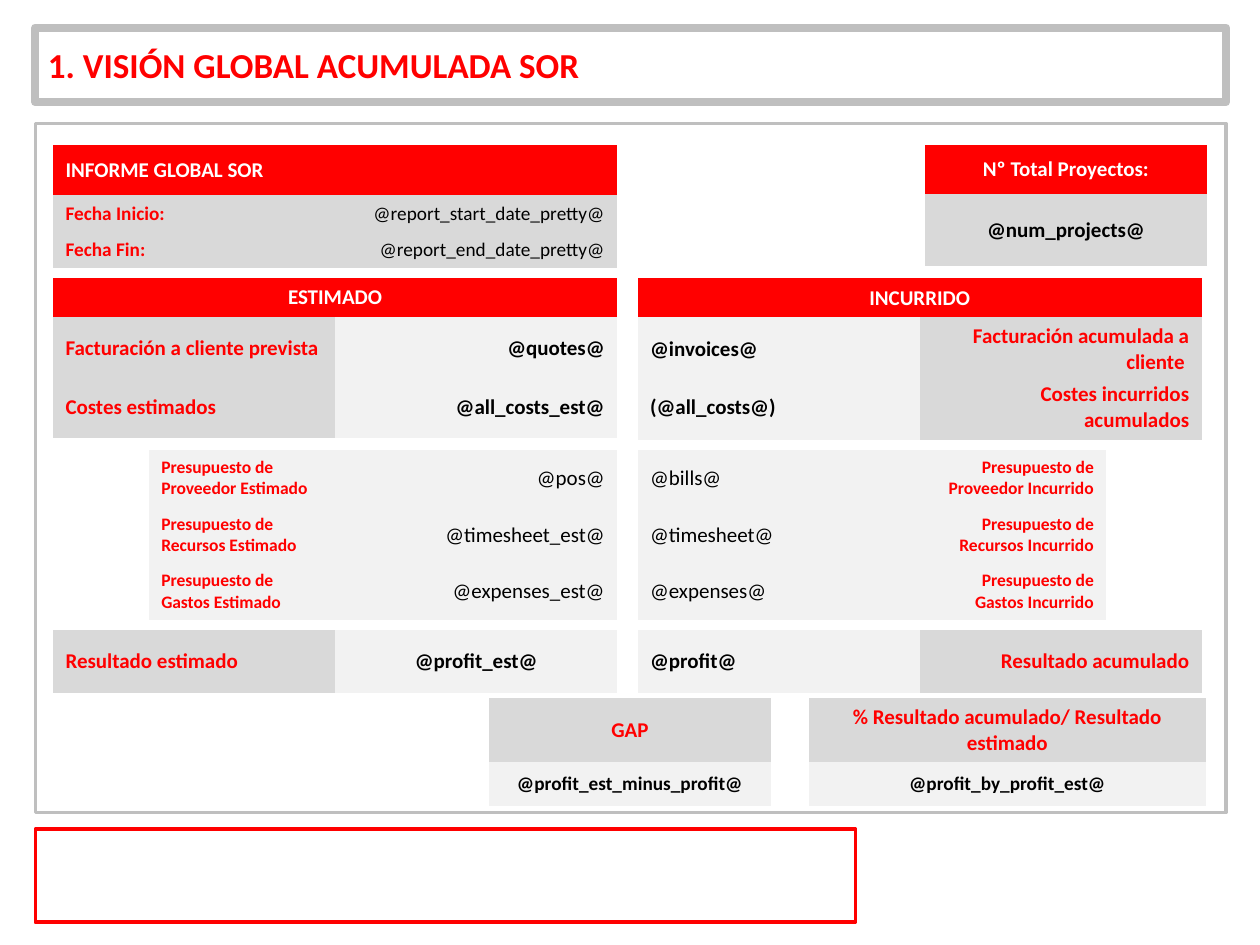
from dataclasses import dataclass, replace
from typing import Optional

from pptx import Presentation
from pptx.dml.color import RGBColor
from pptx.enum.shapes import MSO_SHAPE
from pptx.enum.text import MSO_ANCHOR, MSO_AUTO_SIZE, PP_ALIGN
from pptx.util import Inches, Pt

RED = RGBColor(0xFF, 0x00, 0x00)
WHITE = RGBColor(0xFF, 0xFF, 0xFF)
BLACK = RGBColor(0x00, 0x00, 0x00)
EDGE = RGBColor(0xBF, 0xBF, 0xBF)
GREY = RGBColor(0xD9, 0xD9, 0xD9)
PALE = RGBColor(0xF2, 0xF2, 0xF2)
FONT = "Calibri"
PLAIN = "{2D5ABB26-0587-4C30-8999-92F81FD0307C}"

LEFT, RIGHT = 0.42, 5.06
COL, SUB = 2.24, 1.48
PAIR = (COL, COL)
TOP, HEAD, COST, PARTS, NET, GAP = 1.15, 2.21, 2.98, 3.57, 5.0, 5.54
FRAME, WIDE = 0.28, 9.45

START, MID, END = PP_ALIGN.LEFT, PP_ALIGN.CENTER, PP_ALIGN.RIGHT


@dataclass(frozen=True)
class Style:
    fill: RGBColor
    ink: RGBColor
    size: int = 12
    bold: bool = True
    align: PP_ALIGN = START


@dataclass(frozen=True)
class Cell:
    text: str
    style: Style


@dataclass(frozen=True)
class Grid:
    x: float
    y: float
    cols: tuple[float, ...]
    rows: tuple[float, ...]
    cells: list[list[Cell]]


BAR = Style(RED, WHITE, align=MID)
LABEL = Style(GREY, RED)
VALUE = Style(PALE, BLACK)
PART = Style(PALE, RED, 10)
SUM = replace(VALUE, bold=False)
DATE = replace(LABEL, size=11)
DAY = Style(GREY, BLACK, 11, False, END)
RATIO = replace(VALUE, size=11, align=MID)


def turn(style: Style, align: PP_ALIGN) -> Style:
    return replace(style, align=align)


def frame(slide, y: float, wide: float, high: float, line: RGBColor) -> None:
    box = slide.shapes.add_shape(
        MSO_SHAPE.RECTANGLE, Inches(FRAME), Inches(y), Inches(wide), Inches(high))
    box.shadow.inherit = False
    box.fill.background()
    box.line.color.rgb = line
    box.line.width = Pt(2)


def paint(spot, cell: Cell) -> None:
    style = cell.style
    spot.fill.solid()
    spot.fill.fore_color.rgb = style.fill
    spot.vertical_anchor = MSO_ANCHOR.MIDDLE
    spot.text_frame.text = cell.text
    para = spot.text_frame.paragraphs[0]
    para.alignment = style.align
    font = para.runs[0].font
    font.name, font.size, font.bold = FONT, Pt(style.size), style.bold
    font.color.rgb = style.ink


def draw(slide, grid: Grid) -> None:
    table = slide.shapes.add_table(
        len(grid.rows), len(grid.cols), Inches(grid.x), Inches(grid.y),
        Inches(sum(grid.cols)), Inches(sum(grid.rows))).table
    table.first_row = table.horz_banding = False
    table._tbl.tblPr[0].text = PLAIN
    for col, wide in zip(table.columns, grid.cols):
        col.width = Inches(wide)
    for r, (high, line) in enumerate(zip(grid.rows, grid.cells)):
        table.rows[r].height = Inches(high)
        if len(line) < len(grid.cols):
            table.cell(r, 0).merge(table.cell(r, len(grid.cols) - 1))
        for c, cell in enumerate(line):
            paint(table.cell(r, c), cell)


def title(slide, text: str) -> None:
    head = slide.shapes.title
    head.left, head.top = Inches(FRAME), Inches(0.22)
    head.width, head.height = Inches(WIDE), Inches(0.59)
    head.line.color.rgb = EDGE
    head.line.width = Pt(4.75)
    body = head.text_frame
    body.text = text
    body.auto_size = MSO_AUTO_SIZE.NONE
    body.vertical_anchor = MSO_ANCHOR.MIDDLE
    para = body.paragraphs[0]
    para.alignment = START
    font = para.runs[0].font
    font.name, font.size, font.bold = FONT, Pt(20), True
    font.color.rgb = RED


def pair(name: str, value: str, align: PP_ALIGN = END) -> list[Cell]:
    return [Cell(name, LABEL), Cell(value, turn(VALUE, align))]


def back(value: str, name: str) -> list[Cell]:
    return [Cell(value, VALUE), Cell(name, turn(LABEL, END))]


def ratio(x: float, wide: float, name: str, value: str) -> Grid:
    return Grid(x, GAP, (wide,), (0.51, 0.35),
                [[Cell(name, turn(LABEL, MID))], [Cell(value, RATIO)]])


KINDS = ("Proveedor", "Recursos", "Gastos")
PLANS = ("@pos@", "@timesheet_est@", "@expenses_est@")
SPENT = ("@bills@", "@timesheet@", "@expenses@")
THIRDS = (0.45,) * len(KINDS)

GRIDS: list[Grid] = [
    Grid(LEFT, TOP, PAIR, (0.4, 0.29, 0.29), [
        [Cell("INFORME GLOBAL SOR", turn(BAR, START))],
        [Cell("Fecha Inicio:", DATE), Cell("@report_start_date_pretty@", DAY)],
        [Cell("Fecha Fin:", DATE), Cell("@report_end_date_pretty@", DAY)]]),
    Grid(LEFT, HEAD, PAIR, (0.3, 0.5), [
        [Cell("ESTIMADO", BAR)],
        pair("Facturación a cliente prevista", "@quotes@")]),
    ratio(6.42, 3.15, "% Resultado acumulado/ Resultado estimado",
          "@profit_by_profit_est@"),
    Grid(LEFT, NET, PAIR, (0.5,),
         [pair("Resultado estimado", "@profit_est@", MID)]),
    Grid(RIGHT, HEAD, PAIR, (0.31, 0.51), [
        [Cell("INCURRIDO", BAR)],
        back("@invoices@", "Facturación acumulada a cliente ")]),
    Grid(RIGHT, NET, PAIR, (0.5,), [back("@profit@", "Resultado acumulado")]),
    ratio(3.88, COL, "GAP", "@profit_est_minus_profit@"),
    Grid(LEFT + COL - SUB, PARTS, (SUB, COL), THIRDS, [
        [Cell(f"Presupuesto de {kind} Estimado", PART), Cell(plan, turn(SUM, END))]
        for kind, plan in zip(KINDS, PLANS)]),
    Grid(RIGHT, PARTS, (COL, SUB), THIRDS, [
        [Cell(cost, SUM), Cell(f"Presupuesto de {kind} Incurrido", turn(PART, END))]
        for kind, cost in zip(KINDS, SPENT)]),
    Grid(LEFT, COST, PAIR, (0.5,), [pair("Costes estimados", "@all_costs_est@")]),
    Grid(RIGHT, COST, PAIR, (0.51,),
         [back("(@all_costs@)", "Costes incurridos acumulados")]),
    Grid(7.34, TOP, (COL,), (0.39, 0.57), [
        [Cell("Nº Total Proyectos:", BAR)],
        [Cell("@num_projects@", Style(GREY, BLACK, align=MID))]]),
]


def main() -> None:
    deck = Presentation()
    deck.slide_width, deck.slide_height = Inches(10), Inches(7.5)
    slide = deck.slides.add_slide(deck.slide_layouts[5])
    title(slide, "1. VISIÓN GLOBAL ACUMULADA SOR")
    frame(slide, 0.98, WIDE, 5.47, EDGE)
    for grid in GRIDS:
        draw(slide, grid)
    frame(slide, 6.58, 6.51, 0.74, RED)
    deck.save("out.pptx")


if __name__ == "__main__":
    main()
